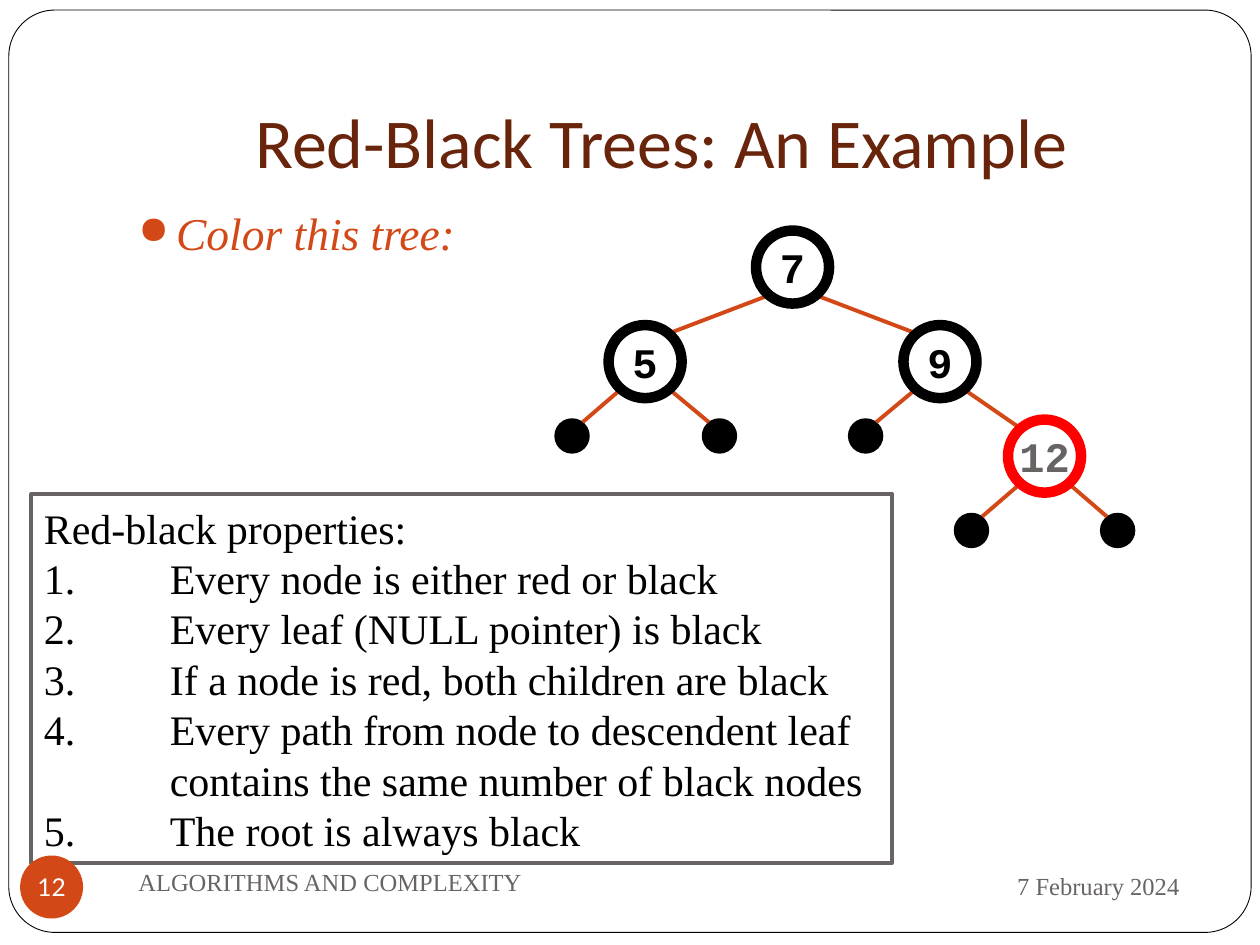
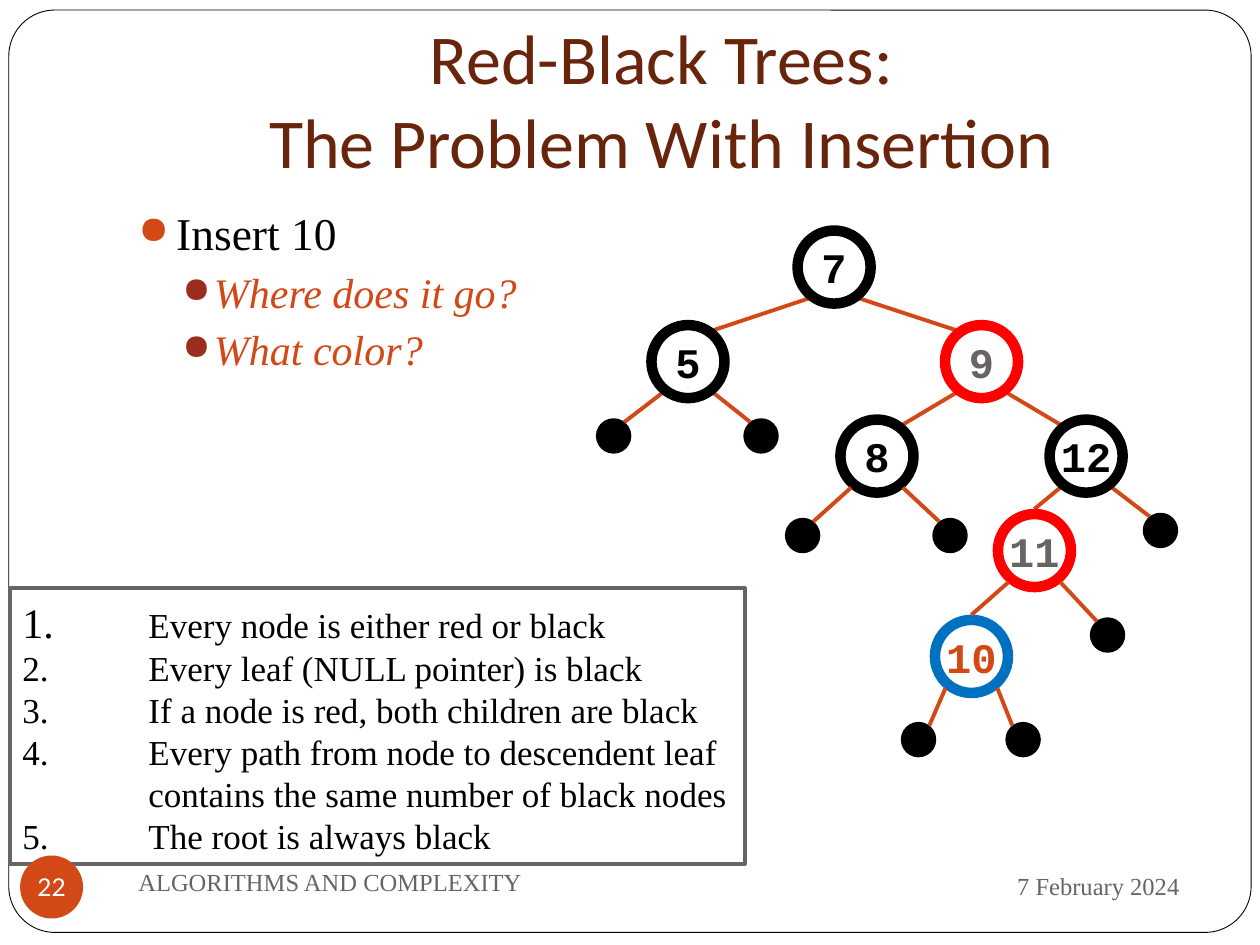
from dataclasses import dataclass

from lxml.etree import SubElement
from pptx import Presentation
from pptx.dml.color import RGBColor
from pptx.enum.shapes import MSO_CONNECTOR, MSO_SHAPE
from pptx.enum.text import MSO_ANCHOR, PP_ALIGN
from pptx.oxml.ns import qn
from pptx.util import Inches, Pt

BLACK = RGBColor(0x00, 0x00, 0x00)
WHITE = RGBColor(0xFF, 0xFF, 0xFF)
RED = RGBColor(0xFF, 0x00, 0x00)
BLUE = RGBColor(0x00, 0x70, 0xC0)
GRAY = RGBColor(0x69, 0x64, 0x64)
BROWN = RGBColor(0x69, 0x24, 0x0C)
ORANGE = RGBColor(0xD3, 0x48, 0x17)
RUST = RGBColor(0x9B, 0x2D, 0x1F)

SERIF = "Times New Roman"
SANS = "Calibri"
MONO = "Courier New"
ROUND = "Lato"

NODE = 0.58
LEAF = 0.25
SIDE = 0.205
ROWS = [2.12, 2.87, 3.62, 4.37]

RULES = [
    "Every node is either red or black",
    "Every leaf (NULL pointer) is black",
    "If a node is red, both children are black",
    "Every path from node to descendent leaf\ncontains the same number of black nodes",
    "The root is always black",
]


@dataclass
class Node:
    x: float
    y: float
    parent: str = ""
    ring: RGBColor = BLACK
    ink: RGBColor = BLACK


class Deck:
    def __init__(self):
        self.prs = Presentation()
        self.prs.slide_width = Inches(10)
        self.prs.slide_height = Inches(7.5)
        self.slide = None

    def page(self, title, number):
        self.slide = self.prs.slides.add_slide(self.prs.slide_layouts[5])
        head = self.slide.shapes.title
        head.left, head.top = Inches(1), Inches(0.3)
        head.width, head.height = Inches(8.5), Inches(1.25)
        frame = head.text_frame
        frame.word_wrap = True
        frame.vertical_anchor = MSO_ANCHOR.BOTTOM
        frame.margin_bottom = Inches(0.1)
        para = frame.paragraphs[0]
        para.alignment = PP_ALIGN.CENTER
        self.put(para, title, 40, SANS, BROWN)
        border = self.shape(MSO_SHAPE.ROUNDED_RECTANGLE, 0.07, 0.08, 9.86, 7.32, WHITE, BLACK, 0.5)
        border.adjustments[0] = 0.05
        head.element.addprevious(border.element)
        self.number = number

    def put(self, para, text, size, font, color, bold=False, italic=False):
        for i, part in enumerate(text.split("\n")):
            if i:
                para.add_line_break()
            run = para.add_run()
            run.text = part
            run.font.size = Pt(size)
            run.font.name = font
            run.font.color.rgb = color
            run.font.bold = bold
            run.font.italic = italic

    def shape(self, kind, x, y, w, h, fill=None, line=None, weight=1):
        item = self.slide.shapes.add_shape(kind, Inches(x), Inches(y), Inches(w), Inches(h))
        item.shadow.inherit = False
        if fill is None:
            item.fill.background()
        else:
            item.fill.solid()
            item.fill.fore_color.rgb = fill
        if line is None:
            item.line.fill.background()
        else:
            item.line.color.rgb = line
            item.line.width = Pt(weight)
        return item

    def disc(self, x, y, size, fill, line=None, weight=1):
        return self.shape(MSO_SHAPE.OVAL, x - size / 2, y - size / 2, size, size, fill, line, weight)

    def label(self, item, text, size, font, color, bold=False):
        frame = item.text_frame
        frame.word_wrap = False
        frame.vertical_anchor = MSO_ANCHOR.MIDDLE
        para = frame.paragraphs[0]
        para.alignment = PP_ALIGN.CENTER
        self.put(para, text, size, font, color, bold)

    def box(self, x, y, w, h):
        frame = self.slide.shapes.add_textbox(Inches(x), Inches(y), Inches(w), Inches(h)).text_frame
        frame.word_wrap = True
        return frame

    def indent(self, para, left, hang):
        props = para._p.get_or_add_pPr()
        props.set("marL", str(Inches(left)))
        props.set("indent", str(-Inches(hang)))
        return props

    def points(self, items):
        frame = self.box(1, 1.58, 8.5, 5)
        for i, (text, level, color, italic) in enumerate(items):
            para = frame.add_paragraph() if i else frame.paragraphs[0]
            size, left, hang, tint = [(26, 0.3, 0.3, ORANGE), (24, 0.6, 0.25, RUST)][level]
            para.level = level
            para.line_spacing = Pt(1.2 * size)
            if i:
                para.space_before = Pt(3.8)
            props = self.indent(para, left, hang)
            paint = SubElement(props, qn("a:buClr"))
            SubElement(paint, qn("a:srgbClr"), val=str(tint))
            SubElement(props, qn("a:buSzPct"), val="85000")
            SubElement(props, qn("a:buChar"), char="●")
            self.put(para, text, size, SERIF, color, italic=italic)

    def rules(self, x, y, w, h, size, first, heading=""):
        item = self.shape(MSO_SHAPE.RECTANGLE, x, y, w, h, None, GRAY, 2.25)
        frame = item.text_frame
        frame.word_wrap = True
        frame.vertical_anchor = MSO_ANCHOR.MIDDLE
        para = frame.paragraphs[0]
        if heading:
            para.alignment = PP_ALIGN.LEFT
            para.line_spacing = Pt(1.2 * size)
            self.put(para, heading, size, SERIF, BLACK)
        for i, text in enumerate(RULES, 1):
            if i > 1 or heading:
                para = frame.add_paragraph()
            mark = first if i == 1 else size
            para.alignment = PP_ALIGN.LEFT
            para.line_spacing = Pt(1.2 * mark)
            self.indent(para, 1, 1)
            self.put(para, f"{i}.\t", mark, SERIF, BLACK)
            self.put(para, text, size, SERIF, BLACK)

    def edge(self, start, end, drop, leaf=False):
        way = 1 if end.x > start.x else -1
        if leaf:
            dx, dy = 0.085, 0.11
        elif abs(end.x - start.x) < 0.6:
            dx, dy = 0, 0.33
        else:
            dx, dy = SIDE, drop
        line = self.slide.shapes.add_connector(
            MSO_CONNECTOR.STRAIGHT,
            Inches(start.x + way * SIDE), Inches(start.y + drop),
            Inches(end.x - way * dx), Inches(end.y - dy))
        line.line.color.rgb = ORANGE
        line.line.width = Pt(2.25)
        SubElement(line.element.spPr, qn("a:effectLst"))

    def tree(self, nodes, leaves, drop, late=()):
        for leaf in leaves:
            self.disc(leaf.x, leaf.y, LEAF, BLACK, BLACK, 2.25)

        def link(front):
            for node in nodes.values():
                if node.parent and (node.parent in late) == front:
                    self.edge(nodes[node.parent], node, drop)
            for leaf in leaves:
                if (leaf.parent in late) == front:
                    self.edge(nodes[leaf.parent], leaf, drop, True)

        link(False)
        for key, node in nodes.items():
            ring = self.disc(node.x, node.y, NODE, WHITE, node.ring, 6)
            self.label(ring, key, 24, MONO, node.ink, True)
        link(True)

    def footer(self):
        notes = [
            ("7 February 2024", PP_ALIGN.RIGHT, (6.75, 6.77, 2.71, 0.52)),
            ("ALGORITHMS AND COMPLEXITY", PP_ALIGN.LEFT, (1, 6.75, 4.33, 0.5)),
        ]
        for text, align, place in notes:
            frame = self.box(*place)
            frame.vertical_anchor = MSO_ANCHOR.MIDDLE
            para = frame.paragraphs[0]
            para.alignment = align
            self.put(para, text, 14, SERIF, GRAY)
        badge = self.disc(0.41, 7.04, 0.5, ORANGE)
        frame = badge.text_frame
        frame.margin_left = frame.margin_right = frame.margin_top = frame.margin_bottom = 0
        self.label(badge, self.number, 14, ROUND, WHITE)


def example(deck):
    deck.page("Red-Black Trees: An Example", "12")
    deck.points([("Color this tree:", 0, ORANGE, True)])
    nodes = {
        "12": Node(8.29, ROWS[2], "9", RED, GRAY),
        "5": Node(5.12, ROWS[1], "7"),
        "9": Node(7.46, ROWS[1], "7"),
        "7": Node(6.29, ROWS[0]),
    }
    leaves = [
        Node(4.54, 3.46, "5"), Node(5.71, 3.46, "5"), Node(6.87, 3.46, "9"),
        Node(7.71, 4.21, "12"), Node(8.87, 4.21, "12"),
    ]
    deck.tree(nodes, leaves, 0.23)
    deck.rules(0.25, 3.92, 6.83, 2.93, 24, 24, "Red-black properties:")
    deck.footer()


def insertion(deck):
    deck.page("Red-Black Trees:\nThe Problem With Insertion", "22")
    deck.points([
        ("Insert 10", 0, BLACK, False),
        ("Where does it go?", 1, ORANGE, True),
        ("What color?", 1, ORANGE, True),
    ])
    deck.rules(0.08, 4.67, 5.83, 2.19, 20, 24)
    nodes = {
        "12": Node(8.62, ROWS[2], "9"),
        "5": Node(5.46, ROWS[1], "7"),
        "9": Node(7.79, ROWS[1], "7", RED, GRAY),
        "7": Node(6.62, ROWS[0]),
        "8": Node(6.96, ROWS[2], "9"),
        "11": Node(8.21, ROWS[3], "12", RED, GRAY),
        "10": Node(7.71, 5.21, "11", BLUE, ORANGE),
    }
    leaves = [
        Node(4.87, 3.46, "5"), Node(6.04, 3.46, "5"), Node(9.21, 4.21, "12"),
        Node(6.37, 4.25, "8"), Node(7.54, 4.25, "8"), Node(8.79, 5.04, "11"),
        Node(7.29, 5.87, "10"), Node(8.12, 5.87, "10"),
    ]
    deck.tree(nodes, leaves, 0.25, ("8", "11", "10"))
    deck.footer()


def main():
    deck = Deck()
    example(deck)
    insertion(deck)
    deck.prs.save("out.pptx")


if __name__ == "__main__":
    main()
